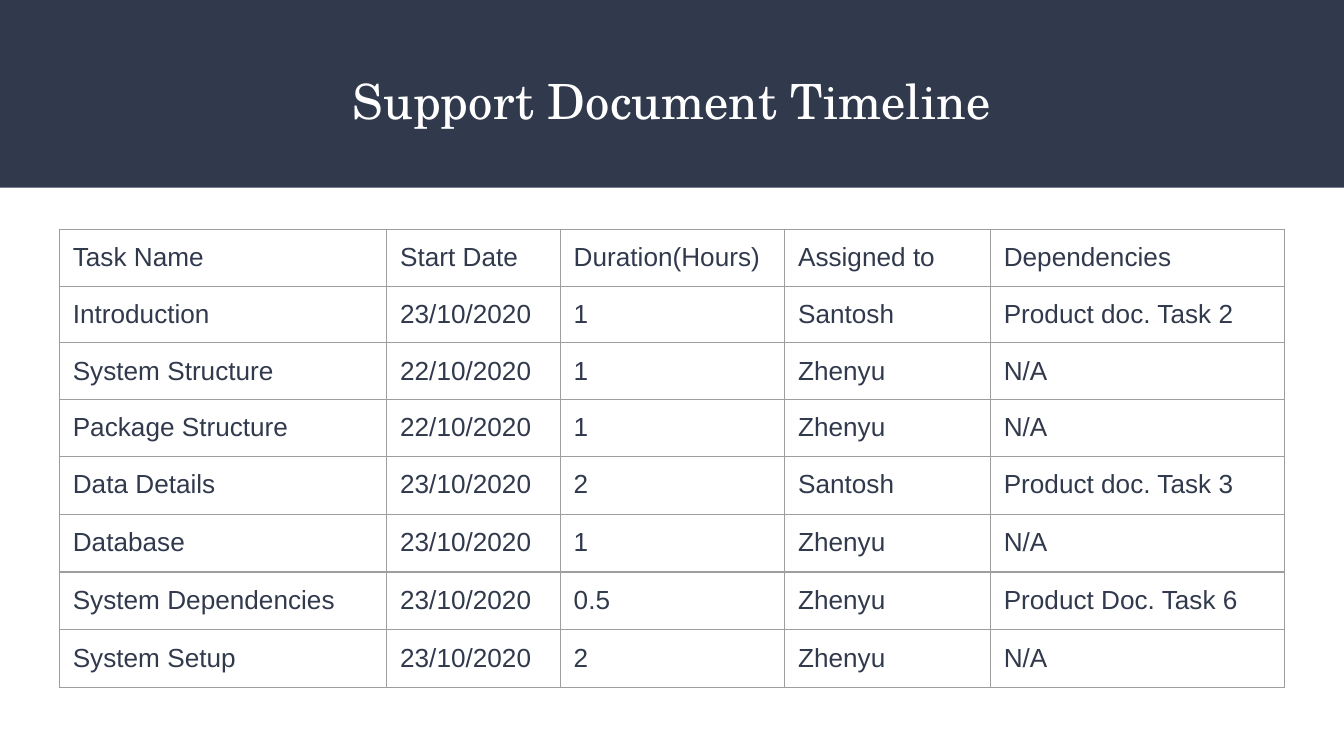
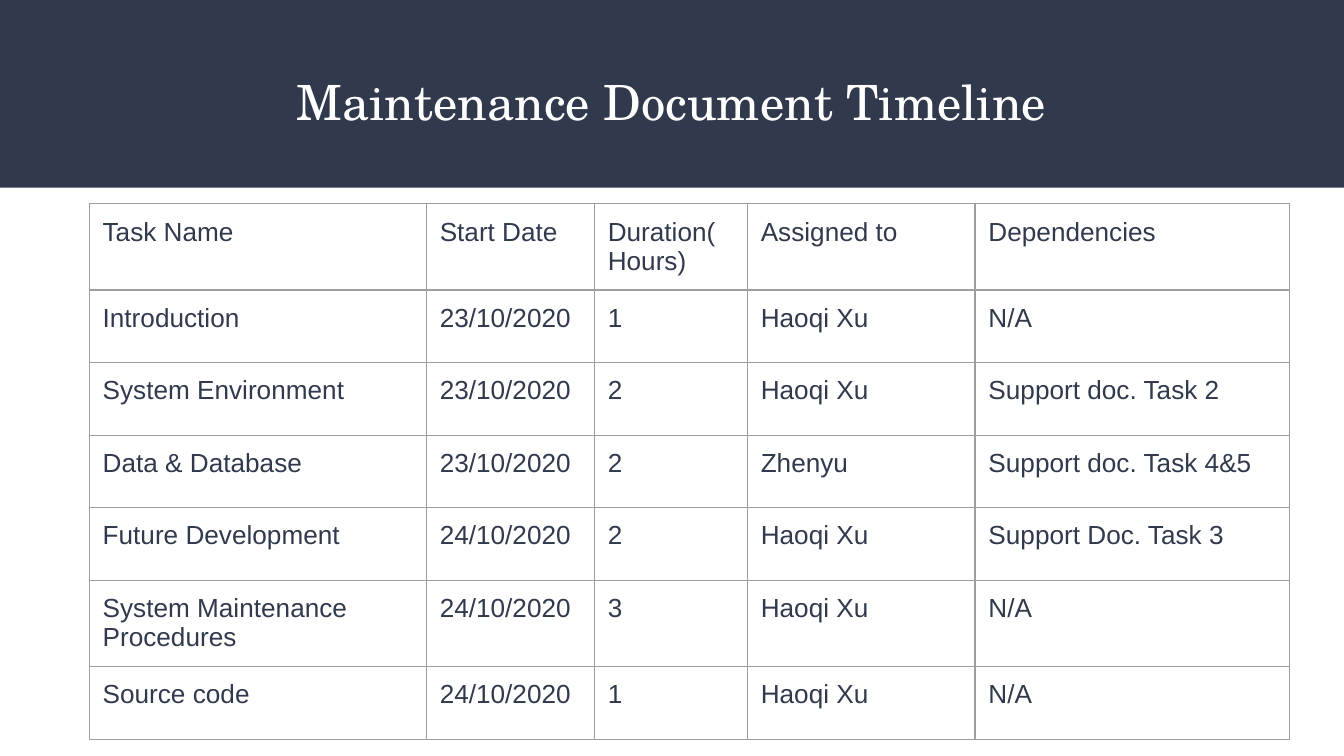
from lxml.etree import SubElement
from pptx import Presentation
from pptx.dml.color import RGBColor
from pptx.enum.shapes import MSO_SHAPE as Shape
from pptx.enum.text import MSO_ANCHOR as Anchor, MSO_AUTO_SIZE as AutoSize, PP_ALIGN as Align
from pptx.oxml.ns import qn
from pptx.util import Pt

NAVY, WHITE, GREY = "31394D", "FFFFFF", "9E9E9E"
WIDTH, HEIGHT = 720, 405
INSET = 7.2
HEADER = ["Task Name", "Start Date", "Duration(Hours)", "Assigned to", "Dependencies"]


def rgb(color):
    return RGBColor.from_string(color)


class Deck:
    title_font, body_font = "TeX Gyre Schola", "Arial"

    def __init__(self):
        self.prs = Presentation()
        self.prs.slide_width, self.prs.slide_height = Pt(WIDTH), Pt(HEIGHT)
        self.slide = None

    def add_slide(self, title, title_top):
        self.slide = self.prs.slides.add_slide(self.prs.slide_layouts[5])
        self.band()
        self.title(title, title_top)

    def band(self):
        sp = self.slide.shapes.add_shape(Shape.RECTANGLE, 0, 0, Pt(WIDTH), Pt(100.6))
        sp.shadow.inherit = False
        sp.fill.solid()
        sp.fill.fore_color.rgb = rgb(NAVY)
        sp.line.fill.background()
        # Keep the band behind the title
        self.slide.shapes._spTree.insert(2, sp._element)

    def title(self, text, top):
        sp = self.slide.shapes.title
        sp.left, sp.top, sp.width, sp.height = Pt(24.5), Pt(top), Pt(671), Pt(49)
        tf = sp.text_frame
        tf.text = text
        tf.word_wrap, tf.auto_size = True, AutoSize.NONE
        tf.vertical_anchor = Anchor.TOP
        tf.margin_left = tf.margin_right = tf.margin_top = tf.margin_bottom = Pt(INSET)
        p = tf.paragraphs[0]
        p.alignment, p.line_spacing = Align.CENTER, 1.15
        p.space_before, p.space_after = Pt(0), Pt(16)
        self.style(p.runs[0], self.title_font, 26, WHITE)

    def style(self, r, font, size, color):
        r.font.name, r.font.size = font, Pt(size)
        r.font.color.rgb = rgb(color)

    def table(self, left, top, widths, heights, rows):
        frame = self.slide.shapes.add_table(len(rows), len(widths), Pt(left), Pt(top),
                                            Pt(sum(widths)), Pt(sum(heights)))
        table = frame.table
        table.first_row = table.horz_banding = False
        for column, width in zip(table.columns, widths):
            column.width = Pt(width)
        for row, height, texts in zip(table.rows, heights, rows):
            row.height = Pt(height)
            for cell, text in zip(row.cells, texts):
                self.cell(cell, text)

    def cell(self, cell, text):
        cell.text_frame.text = text
        cell.margin_left = cell.margin_right = cell.margin_top = cell.margin_bottom = Pt(INSET)
        cell.vertical_anchor = Anchor.TOP
        self.style(cell.text_frame.paragraphs[0].runs[0], self.body_font, 14, NAVY)
        # Borders come before the fill in the cell properties
        props = cell._tc.get_or_add_tcPr()
        for side in ("lnL", "lnR", "lnT", "lnB"):
            line = SubElement(props, qn(f"a:{side}"), w=str(Pt(0.75)))
            fill = SubElement(line, qn("a:solidFill"))
            SubElement(fill, qn("a:srgbClr"), val=GREY)
        cell.fill.background()


def main():
    deck = Deck()

    # Support document
    deck.add_slide("Support Document Timeline", 25.9)
    deck.table(31.8, 122.9, [175.4, 93, 120.2, 110.2, 157.7], [30.4] * 4 + [31] * 4, [
        HEADER,
        ["Introduction", "23/10/2020", "1", "Santosh", "Product doc. Task 2"],
        ["System Structure", "22/10/2020", "1", "Zhenyu", "N/A"],
        ["Package Structure", "22/10/2020", "1", "Zhenyu", "N/A"],
        ["Data Details", "23/10/2020", "2", "Santosh", "Product doc. Task 3"],
        ["Database", "23/10/2020", "1", "Zhenyu", "N/A"],
        ["System Dependencies", "23/10/2020", "0.5", "Zhenyu", "Product Doc. Task 6"],
        ["System Setup", "23/10/2020", "2", "Zhenyu", "N/A"],
    ])

    # Maintenance document
    deck.add_slide("Maintenance Document Timeline", 26.9)
    deck.table(47.8, 109.2, [180.6, 90, 82, 122, 168.4], [46.2] + [38.9] * 4 + [46.2, 38.9], [
        HEADER,
        ["Introduction", "23/10/2020", "1", "Haoqi Xu", "N/A"],
        ["System Environment", "23/10/2020", "2", "Haoqi Xu", "Support doc. Task 2"],
        ["Data & Database", "23/10/2020", "2", "Zhenyu", "Support doc. Task 4&5"],
        ["Future Development", "24/10/2020", "2", "Haoqi Xu", "Support Doc. Task 3"],
        ["System Maintenance Procedures", "24/10/2020", "3", "Haoqi Xu", "N/A"],
        ["Source code", "24/10/2020", "1", "Haoqi Xu", "N/A"],
    ])

    deck.prs.save("out.pptx")


if __name__ == "__main__":
    main()
